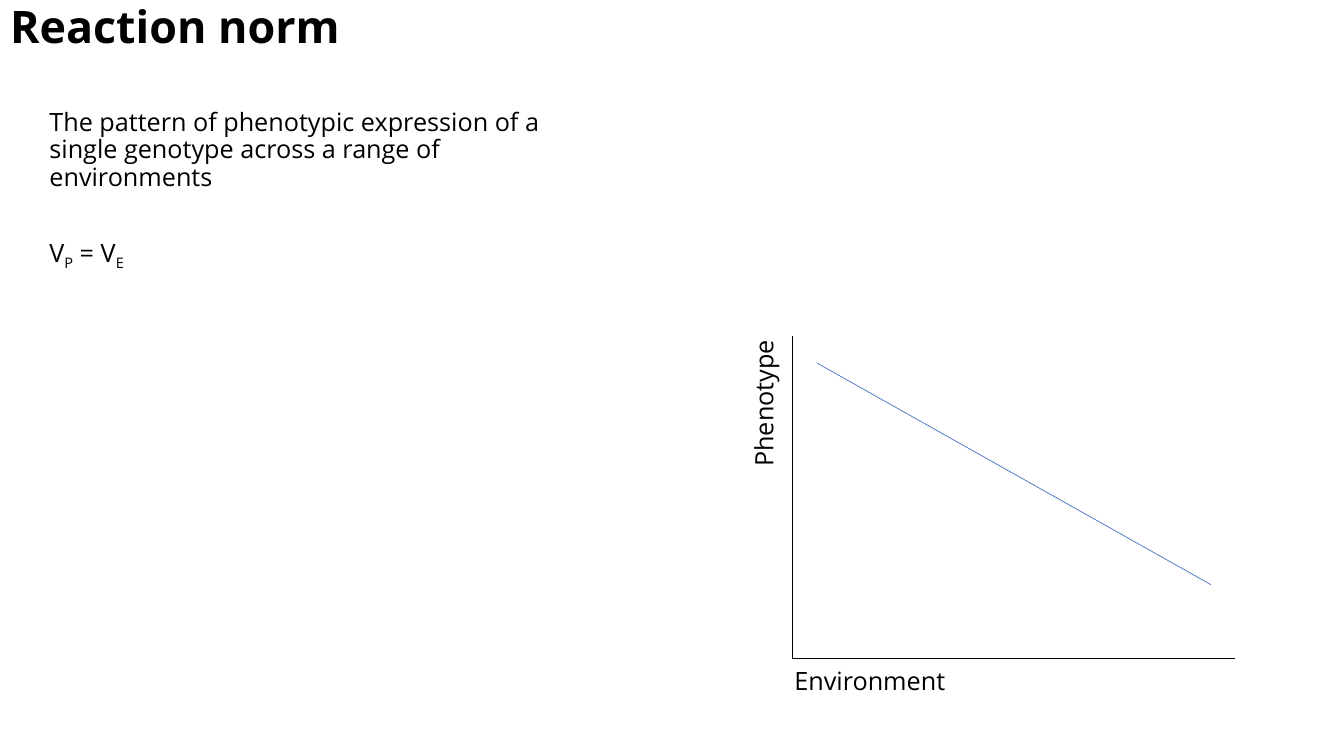
from lxml.etree import SubElement
from pptx import Presentation
from pptx.dml.color import RGBColor
from pptx.enum.shapes import MSO_CONNECTOR
from pptx.enum.text import MSO_ANCHOR, MSO_AUTO_SIZE, PP_ALIGN
from pptx.oxml.ns import qn
from pptx.util import Inches, Pt

FONT = "Open Sans"
BLACK = "000000"
BLUE = "4472C4"


def color(hex_string):
    return RGBColor.from_string(hex_string)


def place(shape, left, top, width, height):
    shape.left, shape.top = Inches(left), Inches(top)
    shape.width, shape.height = Inches(width), Inches(height)


def prepare_frame(shape, wrap=True):
    frame = shape.text_frame
    frame.auto_size = MSO_AUTO_SIZE.NONE
    frame.word_wrap = wrap
    frame.vertical_anchor = MSO_ANCHOR.TOP
    return frame


def format_paragraph(paragraph, size=18, bold=False, align=PP_ALIGN.LEFT, after=0):
    paragraph.alignment = align
    paragraph.line_spacing = 0.9
    paragraph.space_before = Pt(0)
    paragraph.space_after = Pt(after)
    paragraph.font.name = FONT
    paragraph.font.size = Pt(size)
    paragraph.font.bold = bold
    paragraph.font.color.rgb = color(BLACK)


def remove_bullet(paragraph):
    properties = paragraph._p.get_or_add_pPr()
    properties.set("marL", "0")
    properties.set("indent", "0")
    SubElement(properties, qn("a:buNone"))


def add_title(slide, left, top, width, height):
    title = slide.shapes.title
    place(title, left, top, width, height)
    frame = prepare_frame(title, wrap=False)
    frame.text = "Reaction norm"
    format_paragraph(frame.paragraphs[0], size=32, bold=True)


def add_definition(slide, left, top, width, height):
    body = slide.placeholders[1]
    place(body, left, top, width, height)
    frame = prepare_frame(body)
    definition = frame.paragraphs[0]
    definition.text = (
        "The pattern of phenotypic expression of a single genotype "
        "across a range of environments"
    )
    equation = frame.add_paragraph()
    for text, is_subscript in (("V", False), ("P", True), (" = V", False), ("E", True)):
        run = equation.add_run()
        run.text = text
        if is_subscript:
            run._r.get_or_add_rPr().set("baseline", "-25000")
    for paragraph, after in ((definition, 33), (equation, 6)):
        remove_bullet(paragraph)
        format_paragraph(paragraph, after=after)


def add_line(slide, start, end, line_color, width):
    points = [Inches(value) for value in (*start, *end)]
    line = slide.shapes.add_connector(MSO_CONNECTOR.STRAIGHT, *points)
    line.line.color.rgb = color(line_color)
    line.line.width = Pt(width)
    SubElement(line._element.spPr, qn("a:effectLst"))


def add_axis_label(slide, text, left, top, align=PP_ALIGN.LEFT, rotation=0):
    label = slide.shapes.add_textbox(
        Inches(left), Inches(top), Inches(2.85), Inches(0.4)
    )
    label.rotation = rotation
    frame = prepare_frame(label)
    frame.text = text
    format_paragraph(frame.paragraphs[0], align=align, after=6)


def add_reaction_plot(slide, left, top, width, height):
    right, bottom = left + width, top + height
    add_line(slide, (left, top), (left, bottom), BLACK, 1)
    add_line(slide, (right, bottom), (left, bottom), BLACK, 1)
    add_line(
        slide, (left + 0.24, top + 0.27), (right - 0.24, bottom - 0.73), BLUE, 0.5
    )
    add_axis_label(slide, "Environment", left - 0.08, bottom + 0.06)
    add_axis_label(
        slide, "Phenotype", left - 1.68, top + 1.17, PP_ALIGN.RIGHT, rotation=270
    )


def main():
    presentation = Presentation()
    presentation.slide_width = Inches(13.33)
    presentation.slide_height = Inches(7.5)
    slide = presentation.slides.add_slide(presentation.slide_layouts[1])
    add_title(slide, 0, 0, 3.5, 0.64)
    add_definition(slide, 0.39, 1.04, 5.48, 1.78)
    add_reaction_plot(slide, 7.86, 3.33, 4.39, 3.2)
    presentation.save("out.pptx")


if __name__ == "__main__":
    main()
